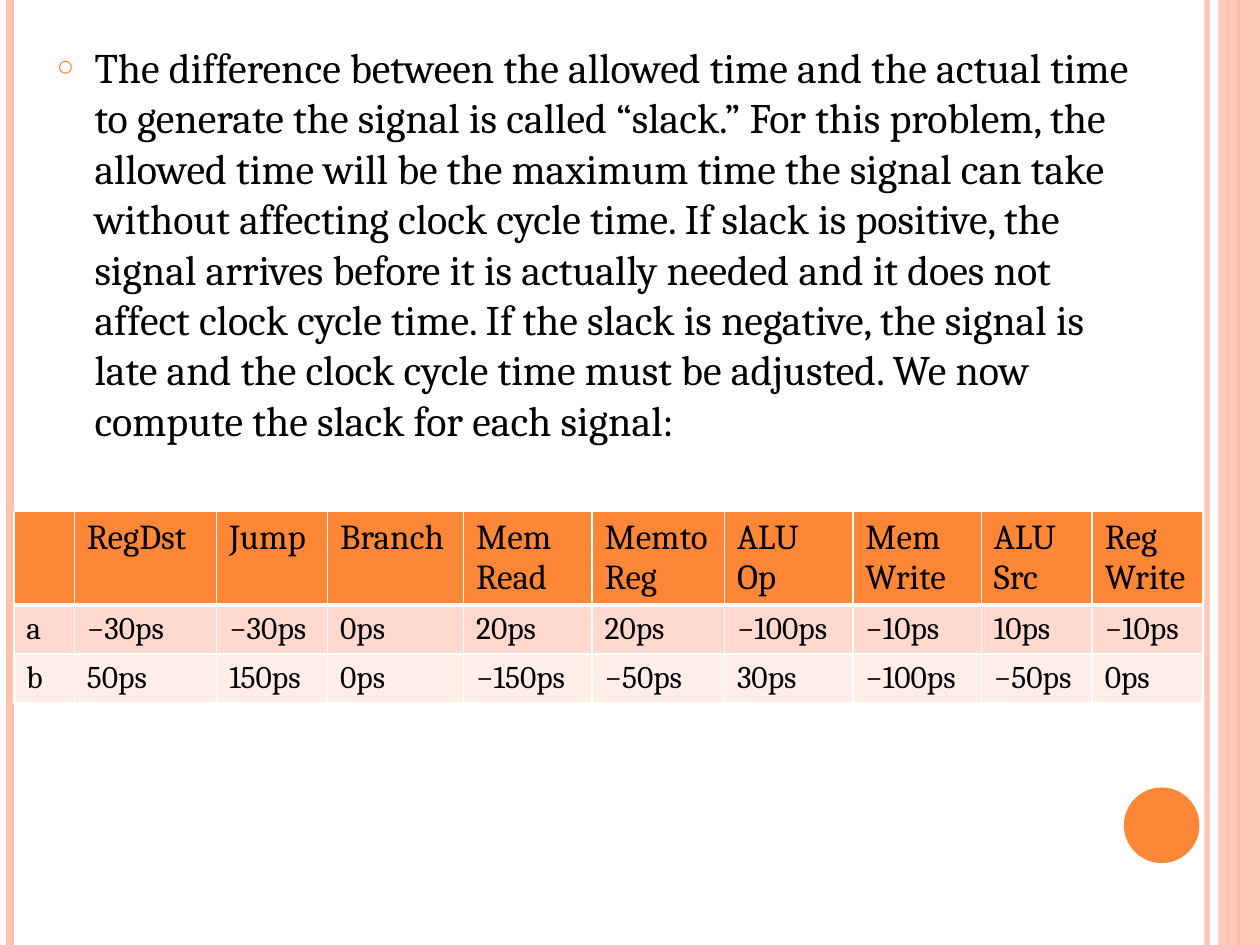
from pptx import Presentation
from pptx.dml.color import RGBColor
from pptx.enum.shapes import MSO_CONNECTOR, MSO_SHAPE
from pptx.enum.text import MSO_ANCHOR, MSO_AUTO_SIZE, PP_ALIGN
from pptx.oxml.ns import qn
from pptx.util import Inches, Pt
from lxml import etree

LINE = MSO_CONNECTOR.STRAIGHT
RECT, OVAL = MSO_SHAPE.RECTANGLE, MSO_SHAPE.OVAL
TOP, LEFT, NO_FIT = MSO_ANCHOR.TOP, PP_ALIGN.LEFT, MSO_AUTO_SIZE.NONE

ORANGE = RGBColor(0xFE, 0x86, 0x37)
PEACH = RGBColor(0xFE, 0xC3, 0xAE)
PINK = RGBColor(0xFF, 0xD9, 0xCE)
PALE = RGBColor(0xFF, 0xED, 0xE8)
WHITE = RGBColor(0xFF, 0xFF, 0xFF)
BLACK = RGBColor(0, 0, 0)
FONT = "Cambria"

# x, colour, points, opacity in percent
RULES = [(9.58, PEACH, 3, 93), (0.08, PEACH, 4.5, 100),
         (9.83, ORANGE, 1.5, 100), (9.75, ORANGE, 0.75, 100)]

BODY = ("The difference between the allowed time and the actual time to "
        "generate the signal is called “slack.” For this problem, the allowed "
        "time will be the maximum time the signal can take without affecting "
        "clock cycle time. If slack is positive, the signal arrives before it "
        "is actually needed and it does not affect clock cycle time. If the "
        "slack is negative, the signal is late and the clock cycle time must "
        "be adjusted. We now compute the slack for each signal:")

WIDTHS = [0.48, 1.13, 0.88, 1.08, 1.02, 1.05, 1.02, 1.02, 0.88, 0.88]
ROWS = [
    ["", "RegDst", "Jump", "Branch", "Mem\nRead", "Memto\nReg", "ALU\nOp",
     "Mem\nWrite", "ALU\nSrc", "Reg\nWrite"],
    ["a", "−30ps", "−30ps", "0ps", "20ps", "20ps", "−100ps", "−10ps", "10ps",
     "−10ps"],
    ["b", "50ps", "150ps", "0ps", "−150ps", "−50ps", "30ps", "−100ps",
     "−50ps", "0ps"],
]
# height, fill, text size, top and bottom border
STYLES = [(0.74, ORANGE, 20, 1, 3), (0.39, PINK, 18, 3, 1),
          (0.39, PALE, 18, 1, 1)]


def put(item, values):
    for name, value in values.items():
        setattr(item, name, value)


def node(parent, tag, **attrs):
    return etree.SubElement(parent, qn(tag), attrs)


def ink(font, size):
    put(font, {"name": FONT, "size": Pt(size), "bold": False})
    font.color.rgb = BLACK


def fade(shape, percent):
    color = next(shape.element.spPr.iter(qn("a:srgbClr")))
    node(color, "a:alpha", val=str(percent * 1000))


def add_rule(slide, x, color, width, solid):
    rule = slide.shapes.add_connector(
        LINE, Inches(x), Inches(0), Inches(x), Inches(7.5))
    rule.line.color.rgb = color
    rule.line.width = Pt(width)
    node(rule.element.spPr, "a:effectLst")
    if solid < 100:
        fade(rule, solid)


def add_block(slide, kind, box, color):
    block = slide.shapes.add_shape(kind, *map(Inches, box))
    block.shadow.inherit = False
    block.fill.solid()
    block.fill.fore_color.rgb = color
    block.line.fill.background()
    return block


def fill_body(body):
    put(body, {"left": Inches(0.35), "top": Inches(0.28),
               "width": Inches(8.83), "height": Inches(2.55)})
    frame = body.text_frame
    frame.text = BODY
    put(frame, {"word_wrap": True, "auto_size": NO_FIT,
                "vertical_anchor": TOP})
    para = frame.paragraphs[0]
    put(para, {"space_before": Pt(6), "alignment": LEFT})
    ink(para.runs[0].font, 24)
    # Hollow round bullet
    props = para._p.get_or_add_pPr()
    props.set("marL", str(Inches(0.3)))
    props.set("indent", str(-Inches(0.3)))
    node(node(props, "a:buClr"), "a:srgbClr", val=str(ORANGE))
    node(props, "a:buSzPct", val="70000")
    node(props, "a:buChar", char="○")


def style_cell(cell, text, fill, size, top, bottom):
    props = cell._tc.get_or_add_tcPr()
    for side, width in zip("LRTB", (1, 1, top, bottom)):
        edge = node(props, "a:ln" + side, w=str(Pt(width)))
        node(node(edge, "a:solidFill"), "a:srgbClr", val=str(WHITE))
    cell.fill.solid()
    cell.fill.fore_color.rgb = fill
    cell.text = text
    for para in cell.text_frame.paragraphs:
        ink(para.font, size)
        for run in para.runs:
            ink(run.font, size)


def add_grid(slide):
    high = sum(style[0] for style in STYLES)
    grid = slide.shapes.add_table(
        len(ROWS), len(WIDTHS), Inches(0.11), Inches(4.06),
        Inches(sum(WIDTHS)), Inches(high)).table
    for col, width in zip(grid.columns, WIDTHS):
        col.width = Inches(width)
    for row, texts, (height, *look) in zip(grid.rows, ROWS, STYLES):
        row.height = Inches(height)
        for cell, text in zip(row.cells, texts):
            style_cell(cell, text, *look)


def main():
    deck = Presentation()
    put(deck, {"slide_width": Inches(10), "slide_height": Inches(7.5)})
    slide = deck.slides.add_slide(deck.slide_layouts[1])
    title = slide.shapes.title.element
    title.getparent().remove(title)

    # Side bands and dot
    for rule in RULES:
        add_rule(slide, *rule)
    fade(add_block(slide, RECT, (9.67, 0, 0.33, 7.5), PEACH), 87)
    add_block(slide, OVAL, (8.92, 6.25, 0.6, 0.6), ORANGE)

    # Text and table
    fill_body(slide.placeholders[1])
    add_grid(slide)
    deck.save("out.pptx")


main()
